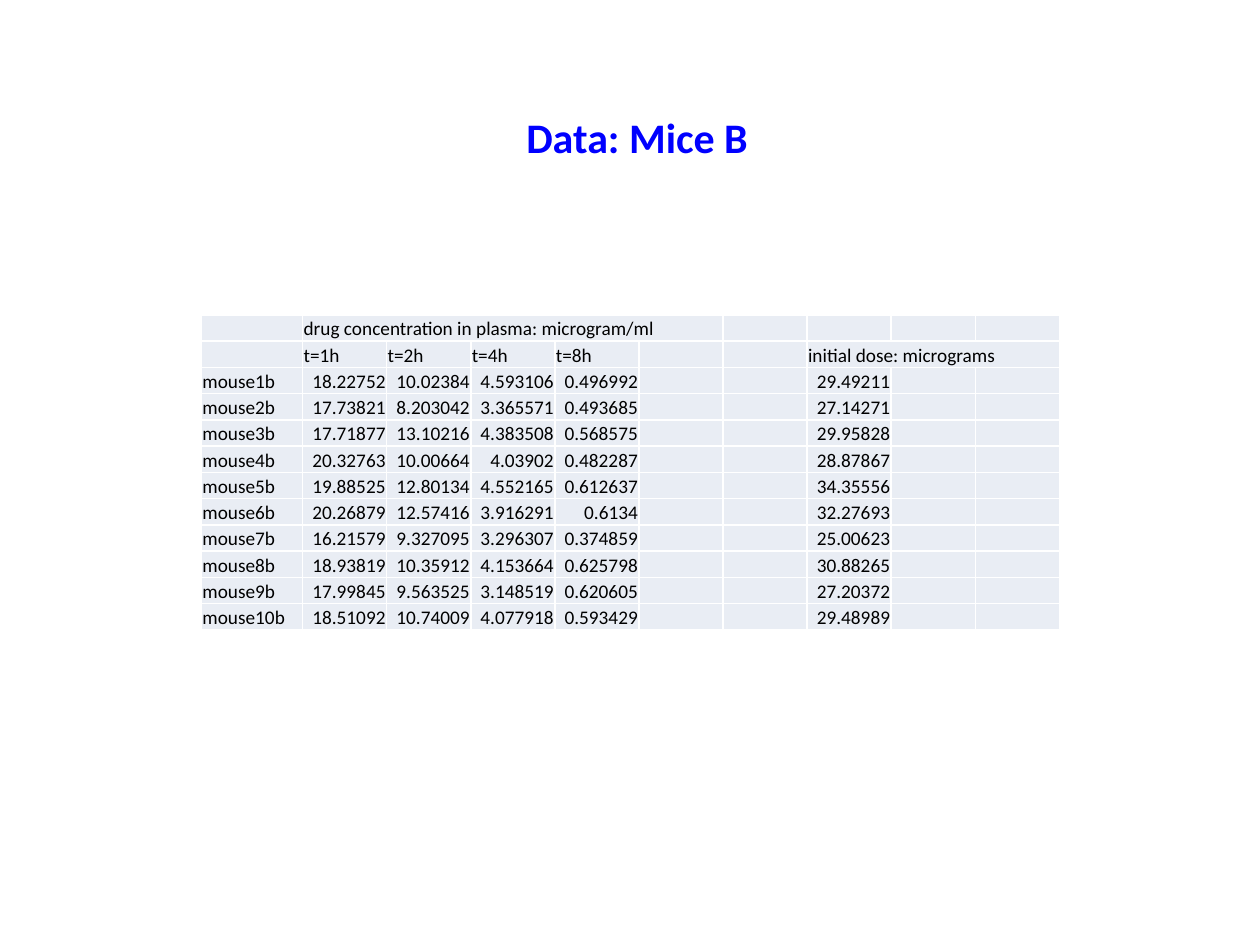
import pptx
import pptx.dml.color
import pptx.enum.text
import pptx.oxml.ns
import pptx.util
from lxml import etree

Cm, Pt = pptx.util.Cm, pptx.util.Pt
ALIGN = pptx.enum.text.PP_ALIGN
ANCHOR = pptx.enum.text.MSO_ANCHOR
qn = pptx.oxml.ns.qn

FONT = "Calibri"
CELL_FILL = "E9EDF4"
COLUMNS = 10
LABEL_WIDTH = 2.04
DOSE_COLUMN = 7

# Concentrations at 1, 2, 4 and 8 hours, then the initial dose
MICE = [
    ("18.22752", "10.02384", "4.593106", "0.496992", "29.49211"),
    ("17.73821", "8.203042", "3.365571", "0.493685", "27.14271"),
    ("17.71877", "13.10216", "4.383508", "0.568575", "29.95828"),
    ("20.32763", "10.00664", "4.03902", "0.482287", "28.87867"),
    ("19.88525", "12.80134", "4.552165", "0.612637", "34.35556"),
    ("20.26879", "12.57416", "3.916291", "0.6134", "32.27693"),
    ("16.21579", "9.327095", "3.296307", "0.374859", "25.00623"),
    ("18.93819", "10.35912", "4.153664", "0.625798", "30.88265"),
    ("17.99845", "9.563525", "3.148519", "0.620605", "27.20372"),
    ("18.51092", "10.74009", "4.077918", "0.593429", "29.48989"),
]


def color(value):
    return pptx.dml.color.RGBColor.from_string(value)


def write(tf, text, size=11, fill="000000", bold=False, align=ALIGN.LEFT):
    p = tf.paragraphs[0]
    p.alignment = align
    if not text:
        # An empty cell keeps its row low through the size of its end mark
        etree.SubElement(p._p, qn("a:endParaRPr"), sz=str(size * 100))
        return
    r = p.add_run()
    r.text = text
    r.font.name = FONT
    r.font.size = Pt(size)
    r.font.bold = bold
    r.font.color.rgb = color(fill)


def style_cell(cell):
    cell.margin_left = cell.margin_right = cell.margin_top = Cm(0.02)
    cell.margin_bottom = 0
    cell.vertical_anchor = ANCHOR.BOTTOM
    tc_pr = cell._tc.get_or_add_tcPr()
    for side in ("lnL", "lnR", "lnT", "lnB"):
        ln = etree.SubElement(tc_pr, qn("a:" + side), w=str(Pt(1)))
        fill = etree.SubElement(ln, qn("a:solidFill"))
        etree.SubElement(fill, qn("a:srgbClr"), val="FFFFFF")
    cell.fill.solid()
    cell.fill.fore_color.rgb = color(CELL_FILL)


def add_title(s, left, top, width, height):
    sp = s.shapes.add_textbox(Cm(left), Cm(top), Cm(width), Cm(height))
    tf = sp.text_frame
    tf.word_wrap = False
    tf.auto_size = pptx.enum.text.MSO_AUTO_SIZE.SHAPE_TO_FIT_TEXT
    write(tf, "Data: Mice B", size=24, fill="0000FF", bold=True)


def add_data_table(s, left, top, width, height):
    # Cell texts by row and column
    texts = {(0, 1): "drug concentration in plasma: microgram/ml",
             (1, DOSE_COLUMN): "initial dose: micrograms"}
    for col, hour in enumerate((1, 2, 4, 8), 1):
        texts[1, col] = f"t={hour}h"
    for number, values in enumerate(MICE, 1):
        texts[number + 1, 0] = f"mouse{number}b"
        for col, value in zip((1, 2, 3, 4, DOSE_COLUMN), values):
            texts[number + 1, col] = value

    rows = len(MICE) + 2
    table = s.shapes.add_table(rows, COLUMNS, Cm(left), Cm(top),
                               Cm(width), Cm(height)).table
    table.first_row = table.horz_banding = False

    # Column widths and row heights
    for col, column in enumerate(table.columns):
        column.width = Cm((width - LABEL_WIDTH) / (COLUMNS - 1) if col else LABEL_WIDTH)
    for row in table.rows:
        row.height = Cm(height / rows)

    # Cells
    for row in range(rows):
        for col in range(COLUMNS):
            cell = table.cell(row, col)
            style_cell(cell)
            is_value = row > 1 and col > 0
            write(cell.text_frame, texts.get((row, col), ""),
                  align=ALIGN.RIGHT if is_value else ALIGN.LEFT)

    # Headings that span several columns
    table.cell(0, 1).merge(table.cell(0, 5))
    table.cell(1, DOSE_COLUMN).merge(table.cell(1, COLUMNS - 1))


def main():
    prs = pptx.Presentation()
    prs.slide_width, prs.slide_height = Cm(25.4), Cm(19.05)
    s = prs.slides.add_slide(prs.slide_layouts[6])
    add_data_table(s, 4.06, 6.35, 17.3, 6.35)
    add_title(s, 10.36, 2.13, 5.03, 1.27)
    prs.save("out.pptx")


if __name__ == "__main__":
    main()
